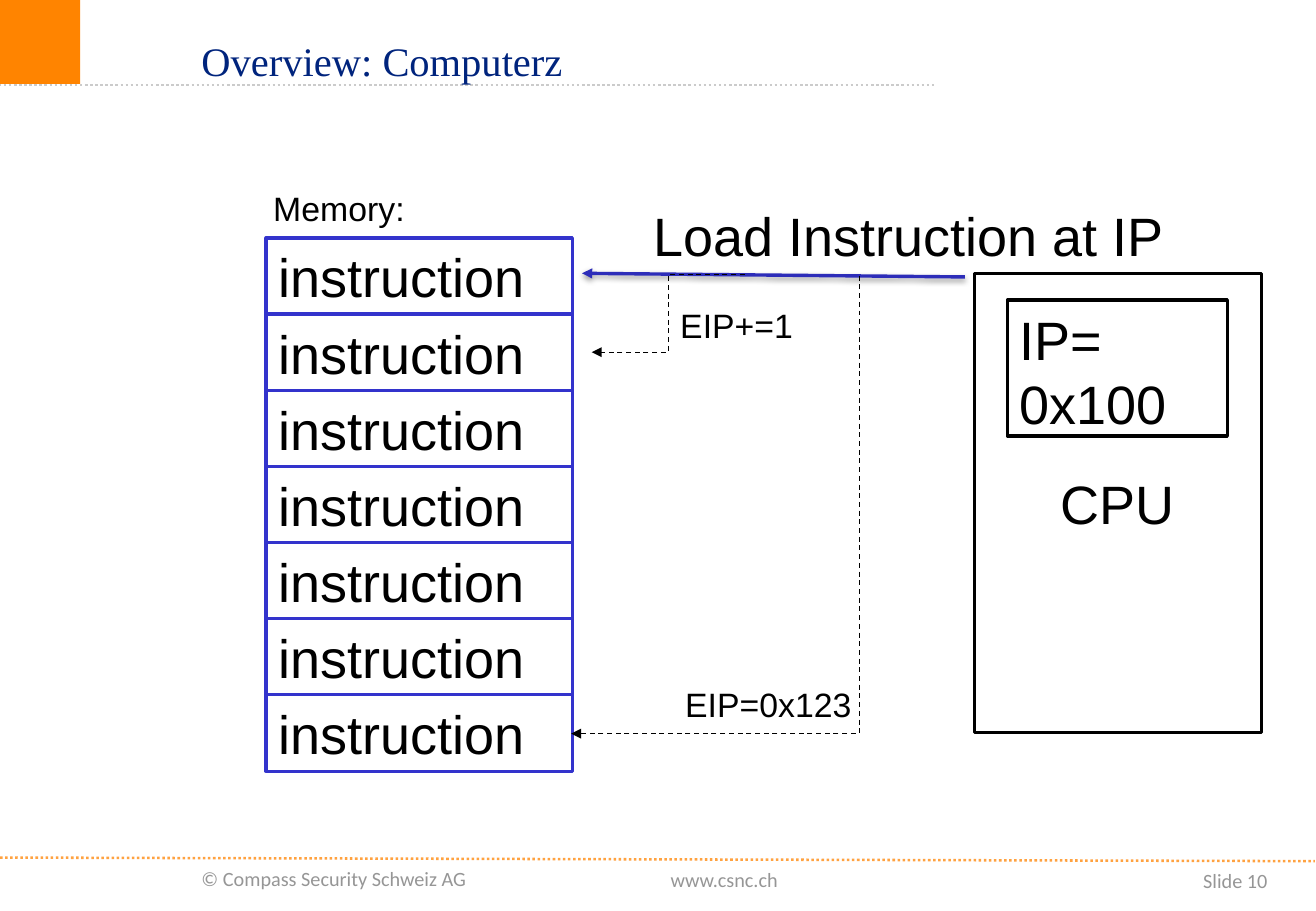
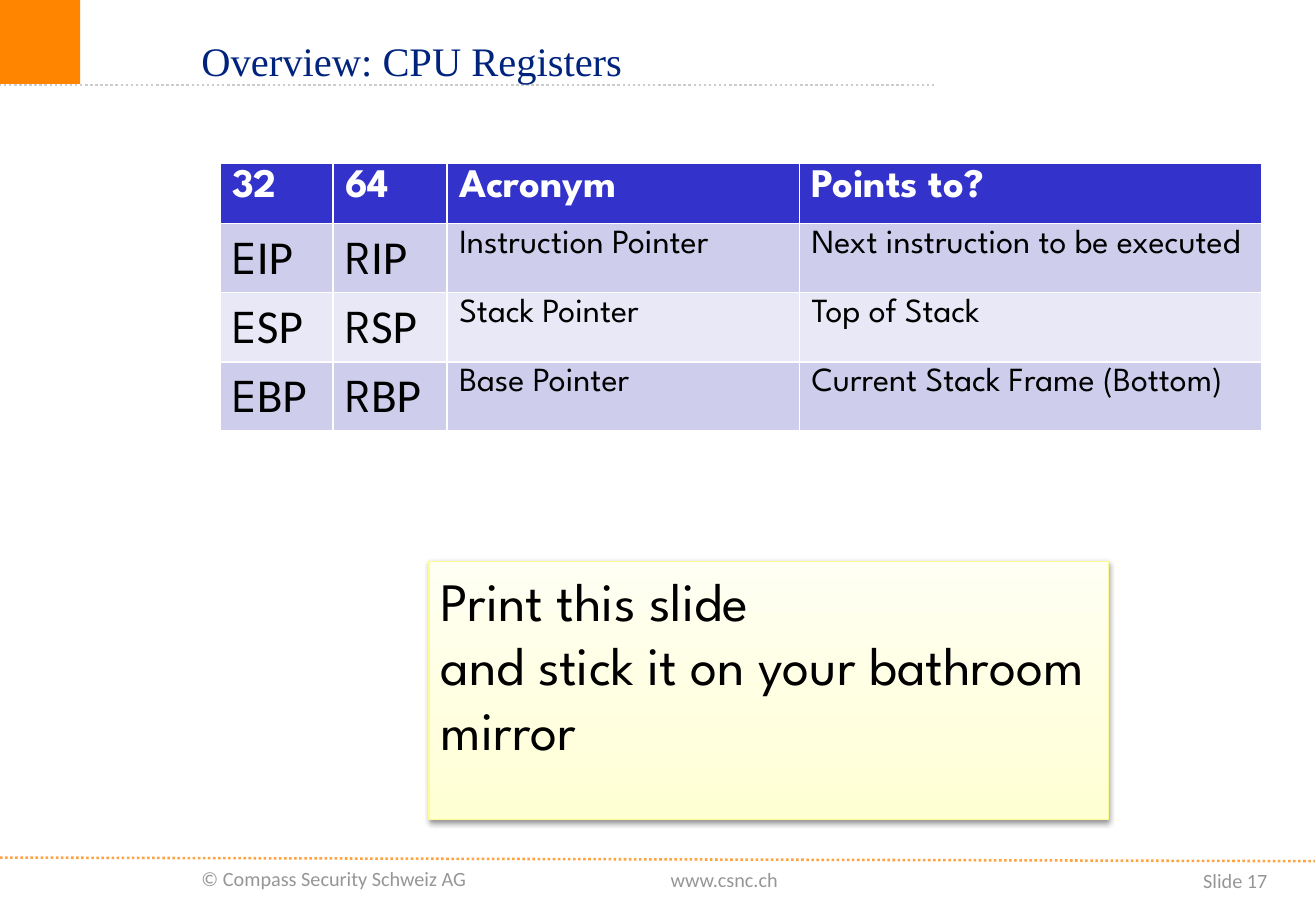
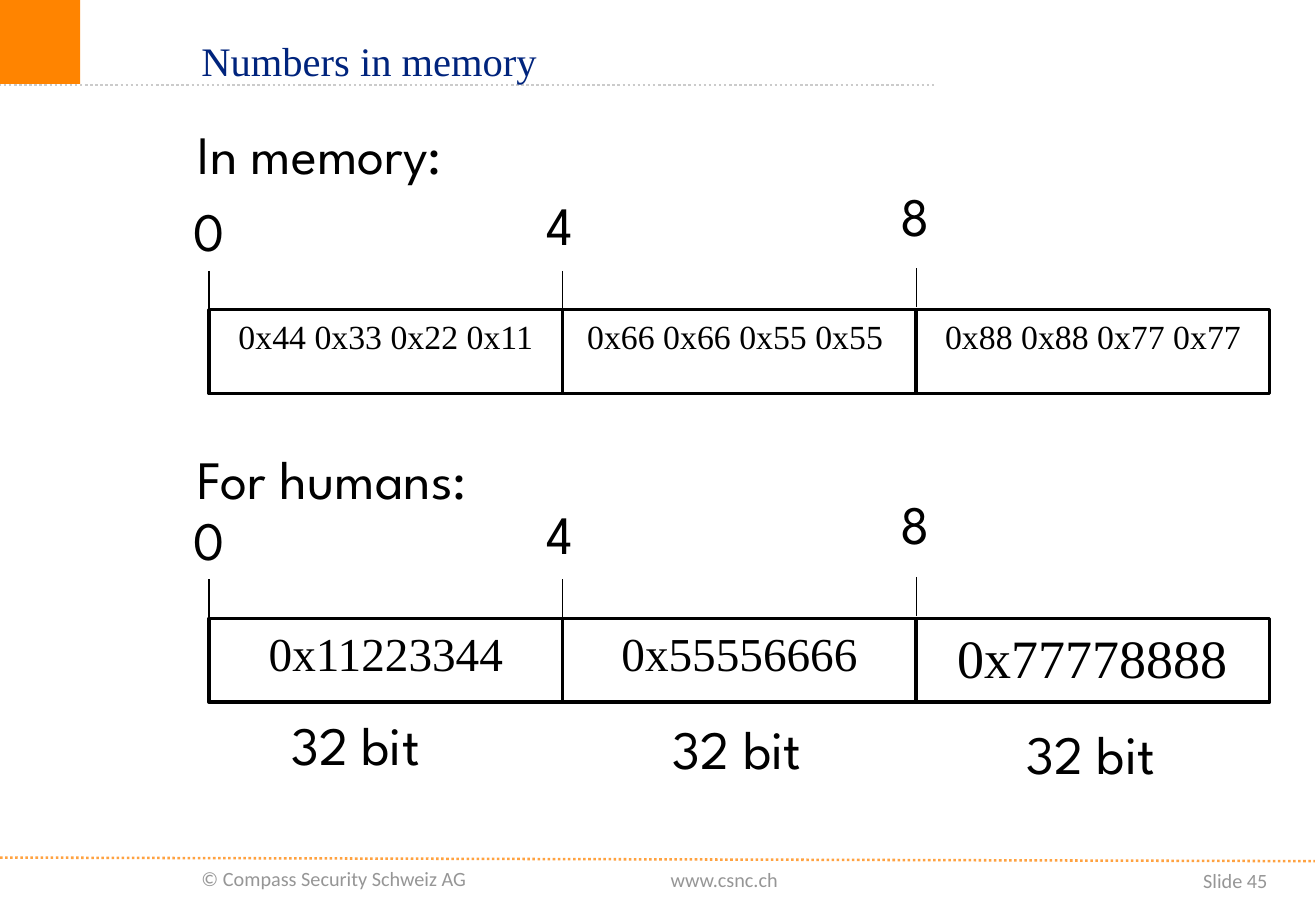
from pptx import Presentation
from pptx.dml.color import RGBColor
from pptx.enum.dml import MSO_LINE
from pptx.enum.shapes import MSO_CONNECTOR as LINK, MSO_SHAPE
from pptx.enum.text import MSO_ANCHOR as ANCHOR, MSO_AUTO_SIZE as AUTO, PP_ALIGN as ALIGN
from pptx.oxml.ns import qn
from pptx.util import Inches, Pt
from lxml.etree import SubElement

BLACK, WHITE, GREY = "000000", "FFFFFF", "969696"
ORANGE, NAVY, BLUE = "FF8400", "00247D", "3333CC"
SANS, SERIF, DISPLAY, SMALL = "Arial", "Times New Roman", "League Spartan", "Calibri"


def rgb(value):
    """Turn a hex string into a colour."""
    return RGBColor.from_string(value)


def add_effects(element, shadow):
    """Give a shape's properties an empty effect list or a soft shadow."""
    effects = SubElement(element.spPr, qn("a:effectLst"))
    if shadow:
        outer = SubElement(effects, qn("a:outerShdw"), blurRad="40000", dist="20000",
                           dir="5400000", rotWithShape="0")
        black = SubElement(outer, qn("a:srgbClr"), val=BLACK)
        SubElement(black, qn("a:alpha"), val="38000")


class Deck:
    """Holds the shared style and the current slide."""

    def __init__(self):
        """Start an empty presentation."""
        self.prs = Presentation()
        self.prs.slide_width, self.prs.slide_height = Inches(10.83), Inches(7.5)
        self.slide = None

    def new_slide(self, title, number):
        """Add a slide with its band, footer and title."""
        self.slide = self.prs.slides.add_slide(self.prs.slide_layouts[6])
        self.box(0, 0, 0.66, 0.69, fill=ORANGE, line=None)
        self.text(1.56, 7.08, 2.66, 0.3, "© Compass Security Schweiz AG", 12, SMALL, GREY)
        self.text(9.28, 7.1, 1.25, 0.34, f"Slide {number}", 12, SMALL, GREY,
                  align=ALIGN.RIGHT, wrap=True)
        self.line((0, 7.06), (10.82, 7.09), ORANGE, 1.5, MSO_LINE.ROUND_DOT, alpha=75)
        self.line((-0.01, 0.7), (7.71, 0.7), "CBCBCB", 1.5, MSO_LINE.ROUND_DOT)
        self.text(5.42, 7.09, 1.15, 0.3, "www.csnc.ch", 12, SMALL, GREY)
        self.text(1.56, 0, 6.06, 1, title, 24, SERIF, NAVY, wrap=True, anchor=ANCHOR.MIDDLE)

    def run(self, paragraph, words, size, font, color=BLACK, bold=False):
        """Add one styled run to a paragraph."""
        run = paragraph.add_run()
        run.text = words
        run.font.size, run.font.name, run.font.bold = Pt(size), font, bold
        run.font.color.rgb = rgb(color)

    def fill_frame(self, frame, words, size, font, color, align, anchor):
        """Write one paragraph for each line of words."""
        frame.vertical_anchor = anchor
        for index, sentence in enumerate(words.split("\n")):
            paragraph = frame.add_paragraph() if index else frame.paragraphs[0]
            paragraph.alignment = align
            self.run(paragraph, sentence, size, font, color)

    def text(self, x, y, w, h, words, size, font, color=BLACK, align=ALIGN.LEFT,
             wrap=False, anchor=ANCHOR.TOP):
        """Add a text box."""
        frame = self.slide.shapes.add_textbox(
            Inches(x), Inches(y), Inches(w), Inches(h)).text_frame
        frame.word_wrap = wrap
        frame.auto_size = AUTO.NONE if wrap else AUTO.SHAPE_TO_FIT_TEXT
        self.fill_frame(frame, words, size, font, color, align, anchor)

    def box(self, x, y, w, h, words="", size=32, font=SANS, fill=WHITE, line=BLACK, weight=2,
            align=ALIGN.LEFT, anchor=ANCHOR.TOP, shadow=False):
        """Add a rectangle; a pair of fill colours runs from bottom to top."""
        shape = self.slide.shapes.add_shape(
            MSO_SHAPE.RECTANGLE, Inches(x), Inches(y), Inches(w), Inches(h))
        if isinstance(fill, tuple):
            shape.fill.gradient()
            shape.fill.gradient_angle = 90
            for stop, color in zip(shape.fill.gradient_stops, fill):
                stop.color.rgb = rgb(color)
        else:
            shape.fill.solid()
            shape.fill.fore_color.rgb = rgb(fill)
        if line:
            shape.line.color.rgb = rgb(line)
            shape.line.width = Pt(weight)
        else:
            shape.line.fill.background()
        if shadow:
            add_effects(shape._element, True)
        else:
            shape.shadow.inherit = False
        if words:
            shape.text_frame.word_wrap = True
            self.fill_frame(shape.text_frame, words, size, font, BLACK, align, anchor)

    def line(self, start, end, color=BLACK, weight=0.75, dash=None, link=LINK.STRAIGHT,
             alpha=None, arrow=None, shadow=False):
        """Add a connector, with an arrowhead at headEnd or tailEnd if asked."""
        connector = self.slide.shapes.add_connector(link, *map(Inches, start + end))
        connector.line.color.rgb = rgb(color)
        connector.line.width = Pt(weight)
        if dash:
            connector.line.dash_style = dash
        outline = connector.line._get_or_add_ln()
        if alpha:
            SubElement(outline.find(".//" + qn("a:srgbClr")), qn("a:alpha"), val=str(alpha * 1000))
        if arrow:
            SubElement(outline, qn("a:" + arrow), type="triangle")
        add_effects(connector._element, shadow)
        return connector

    def corner(self, x, y, w, h, **style):
        """Add a one-bend connector turned by a quarter, from its unturned frame."""
        properties = self.line((x, y), (x + w, y + h), link=LINK.ELBOW, **style)._element.spPr
        properties.find(qn("a:prstGeom")).set("prst", "bentConnector2")
        properties.find(qn("a:xfrm")).set("rot", "5400000")

    def table(self, x, y, widths, heights, header, rows):
        """Add a table whose body cells are lists of (words, size, font) runs."""
        grid = self.slide.shapes.add_table(
            len(heights), len(widths), Inches(x), Inches(y),
            Inches(sum(widths)), Inches(sum(heights))).table
        for column, width in zip(grid.columns, widths):
            column.width = Inches(width)
        for row, height in zip(grid.rows, heights):
            row.height = Inches(height)
        content = [[[(words, 24, DISPLAY)] for words in header]] + rows
        for r, cells in enumerate(content):
            fill = BLUE if r == 0 else ("E8E8F6", "CECEEC")[r % 2]
            for c, runs in enumerate(cells):
                cell = grid.cell(r, c)
                cell.fill.solid()
                cell.fill.fore_color.rgb = rgb(fill)
                for words, size, font in runs:
                    self.run(cell.text_frame.paragraphs[0], words, size, font,
                             BLACK if r else WHITE, r == 0)


def computer_slide(deck):
    """Show how the CPU loads instructions from memory."""
    deck.new_slide("Overview: Computerz", 10)
    pitch = (5.72 - 1.96) / 6
    for index in range(7):
        deck.box(2.19, 1.96 + index * pitch, 2.52, 0.63, "instruction", line=BLUE)
    deck.text(2.15, 1.5, 1.29, 0.44, "Memory:", 20, SANS)
    deck.line((4.79, 2.25), (7.94, 2.28), "2D2DB9", 2, arrow="headEnd", shadow=True)
    deck.box(8.02, 2.25, 2.36, 3.78, "CPU", align=ALIGN.CENTER, anchor=ANCHOR.MIDDLE)
    deck.text(5.28, 1.62, 4.44, 0.64, "Load Instruction at IP", 32, SANS)
    jump = dict(dash=MSO_LINE.DASH, arrow="tailEnd")
    deck.line((6.13, 2.26), (4.87, 2.9), link=LINK.ELBOW, **jump)
    deck.text(5.5, 2.46, 1.14, 0.44, "EIP+=1", 20, SANS)
    deck.corner(4, 2.97, 3.77, 2.37, **jump)
    deck.text(5.54, 5.58, 2.01, 0.44, "EIP=0x123", 20, SANS, wrap=True)
    deck.box(8.29, 2.47, 1.81, 1.12, "IP= 0x100")


def register_slide(deck):
    """List the CPU registers."""
    deck.new_slide("Overview: CPU Registers", 17)
    registers = [("IP", "Instruction Pointer", "Next instruction to be executed"),
                 ("SP", "Stack Pointer", "Top of Stack"),
                 ("BP", "Base Pointer", "Current Stack Frame (Bottom)")]
    rows = [[[(prefix, 28, DISPLAY), (suffix, 28, SMALL)] for prefix in "ER"]
            + [[(words, 20, DISPLAY)] for words in meaning]
            for suffix, *meaning in registers]
    deck.table(1.81, 1.34, [0.93, 0.94, 2.9, 3.8], [0.41] + [0.57] * 3,
               ["32", "64", "Acronym", "Points to?"], rows)
    deck.box(3.53, 4.62, 5.59, 2.13, "Print this slide\nand stick it on your bathroom mirror",
             font=DISPLAY, fill=("FFFFD4", "FFFFF3"), line="FCFC93", weight=0.75, shadow=True)


def number_slide(deck):
    """Compare byte order in memory with written numbers."""
    deck.new_slide("Numbers in memory", 45)
    left, width = 1.72, 2.91
    strips = [
        ("In memory:", 0.94, 2.55, [("0x44 0x33 0x22 0x11", 20), ("0x66 0x66 0x55 0x55 ", 20),
                                    ("0x88 0x88 0x77 0x77", 20)]),
        ("For humans:", 3.62, 5.09, [("0x11223344", 28), ("0x55556666", 28),
                                     ("0x77778888", 32)])]
    for heading, heading_top, top, values in strips:
        deck.text(1.53, heading_top, 3.65, 0.64, heading, 32, DISPLAY, wrap=True)
        for index, (value, size) in enumerate(values):
            deck.box(left + index * width, top, width, 0.69, value, size, SERIF,
                     align=ALIGN.CENTER)
        for index, (rise, lift) in enumerate([(0.97, 0), (1.02, 0), (1.1, 0.02)]):
            x = left + index * width
            deck.line((x, top - 0.32 - lift), (x, top - lift))
            deck.text(x - 0.23, top - rise, 0.45, 0.64, str(4 * index), 32, DISPLAY)
    for x, y in [(2.3, 5.81), (5.44, 5.84), (8.35, 5.88)]:
        deck.text(x, y, 1.3, 0.64, "32 bit", 32, DISPLAY)


def main():
    """Build and save the slides."""
    deck = Deck()
    computer_slide(deck)
    register_slide(deck)
    number_slide(deck)
    deck.prs.save("out.pptx")


if __name__ == "__main__":
    main()
